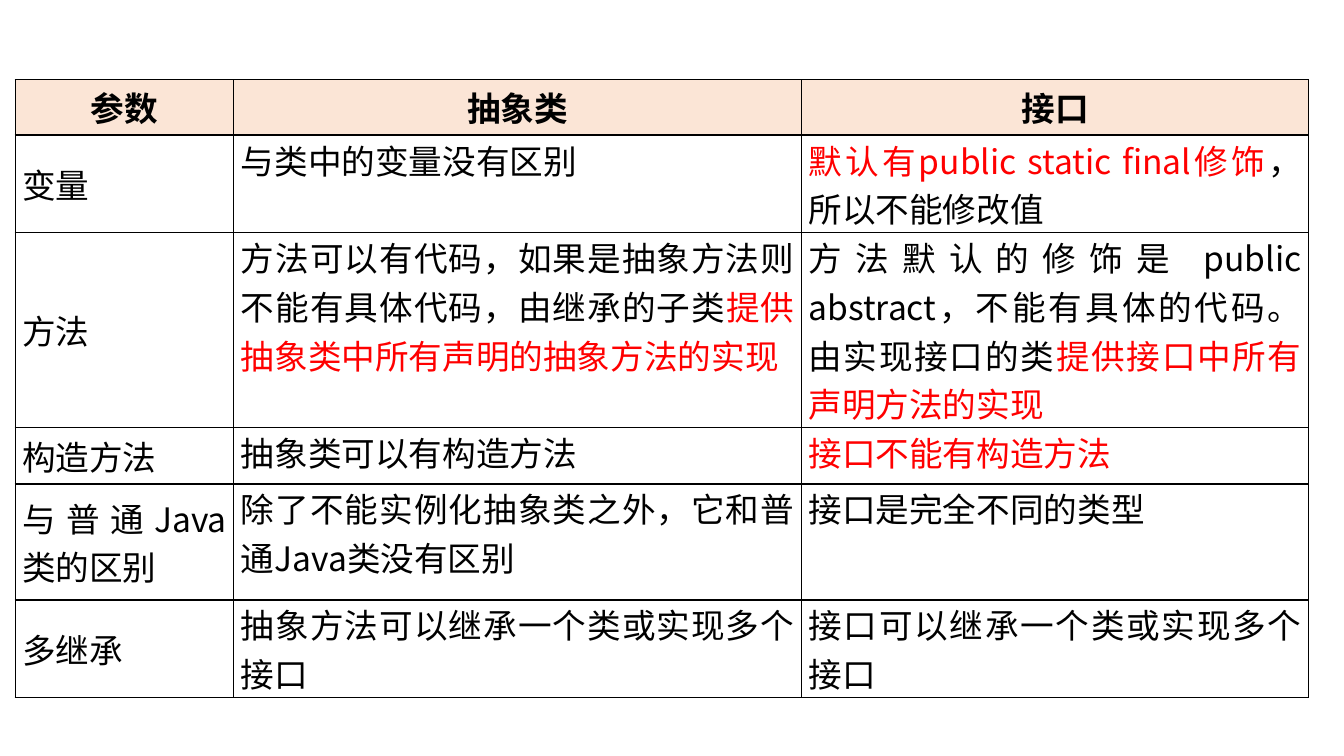
from lxml import etree
from pptx import Presentation
from pptx.dml.color import RGBColor
from pptx.enum.text import MSO_ANCHOR as Anchor, PP_ALIGN as Align
from pptx.oxml import parse_xml
from pptx.oxml.ns import qn
from pptx.util import Inches, Pt

BLACK = RGBColor(0, 0, 0)
RED = RGBColor(0xFF, 0, 0)
PEACH = RGBColor(0xFB, 0xE5, 0xD6)
SANS = "Noto Sans CJK SC"
SERIF = "Times New Roman"
NS = "http://schemas.openxmlformats.org/drawingml/2006/main"

WIDTHS = [2.17, 5.63, 5.03]
HEIGHTS = [0.55, 0.49, 0.84, 0.56, 1.15, 0.9]
# "|" parts the runs of a cell, and "*" marks a red run
ROWS = [
    ["参数", "抽象类", "接口"],
    ["变量", "与类中的变量没有区别",
     "*默认有|*public static final|*修饰|，所以不能修改值"],
    ["方法",
     "方法可以有代码，如果是抽象方法则不能有具体代码，由继承的子类"
     "|*提供抽象类中所有声明的抽象方法的实现",
     "方法默认的修饰是 |public abstract|，不能有具体的代码。由实现接口的类"
     "|*提供接口中所有声明方法的实现"],
    ["构造方法", "抽象类可以有构造方法", "*接口不能有构造方法"],
    ["与普通|Java|类的区别", "除了不能实例化抽象类之外，它和普通|Java|类没有区别",
     "接口是完全不同的类型"],
    ["多继承", "抽象方法可以继承一个类或实现多个接口",
     "接口可以继承一个类或实现多个接口"],
]


def add_run(para, text, head):
    """Add one run; header and Latin text is sans, the rest serif."""
    run = para.add_run()
    run.text = text.lstrip("*")
    font = run.font
    font.size = Pt(24)
    font.bold = head
    font.color.rgb = RED if text.startswith("*") else BLACK
    font.name = SANS if head or run.text.isascii() else SERIF
    east = etree.SubElement(run._r.get_or_add_rPr(), qn("a:ea"))
    east.set("typeface", SANS)


def add_border(cell):
    for side in "LRTB":
        cell._tc.get_or_add_tcPr().append(parse_xml(
            f'<a:ln{side} xmlns:a="{NS}" w="{Pt(1)}"><a:solidFill>'
            f'<a:srgbClr val="{BLACK}"/></a:solidFill></a:ln{side}>'))


deck = Presentation()
deck.slide_width = Inches(13.33)
deck.slide_height = Inches(7.5)
slide = deck.slides.add_slide(deck.slide_layouts[6])

table = slide.shapes.add_table(
    len(ROWS), len(WIDTHS), Inches(0.15), Inches(0.79),
    Inches(sum(WIDTHS)), Inches(sum(HEIGHTS))).table
table.horz_banding = False
for col, width in zip(table.columns, WIDTHS):
    col.width = Inches(width)
for row, height in zip(table.rows, HEIGHTS):
    row.height = Inches(height)

for r, texts in enumerate(ROWS):
    head = r == 0
    for c, text in enumerate(texts):
        cell = table.cell(r, c)
        add_border(cell)
        if head:
            cell.fill.solid()
            cell.fill.fore_color.rgb = PEACH
        else:
            cell.fill.background()
        cell.margin_left = cell.margin_right = Inches(0.02 if head else 0.07)
        cell.margin_top = cell.margin_bottom = Inches(0.01 if head else 0)
        cell.vertical_anchor = Anchor.MIDDLE if head or c == 0 else Anchor.TOP
        para = cell.text_frame.paragraphs[0]
        para.alignment = Align.CENTER if head else Align.JUSTIFY
        for part in text.split("|"):
            add_run(para, part, head)

deck.save("out.pptx")
